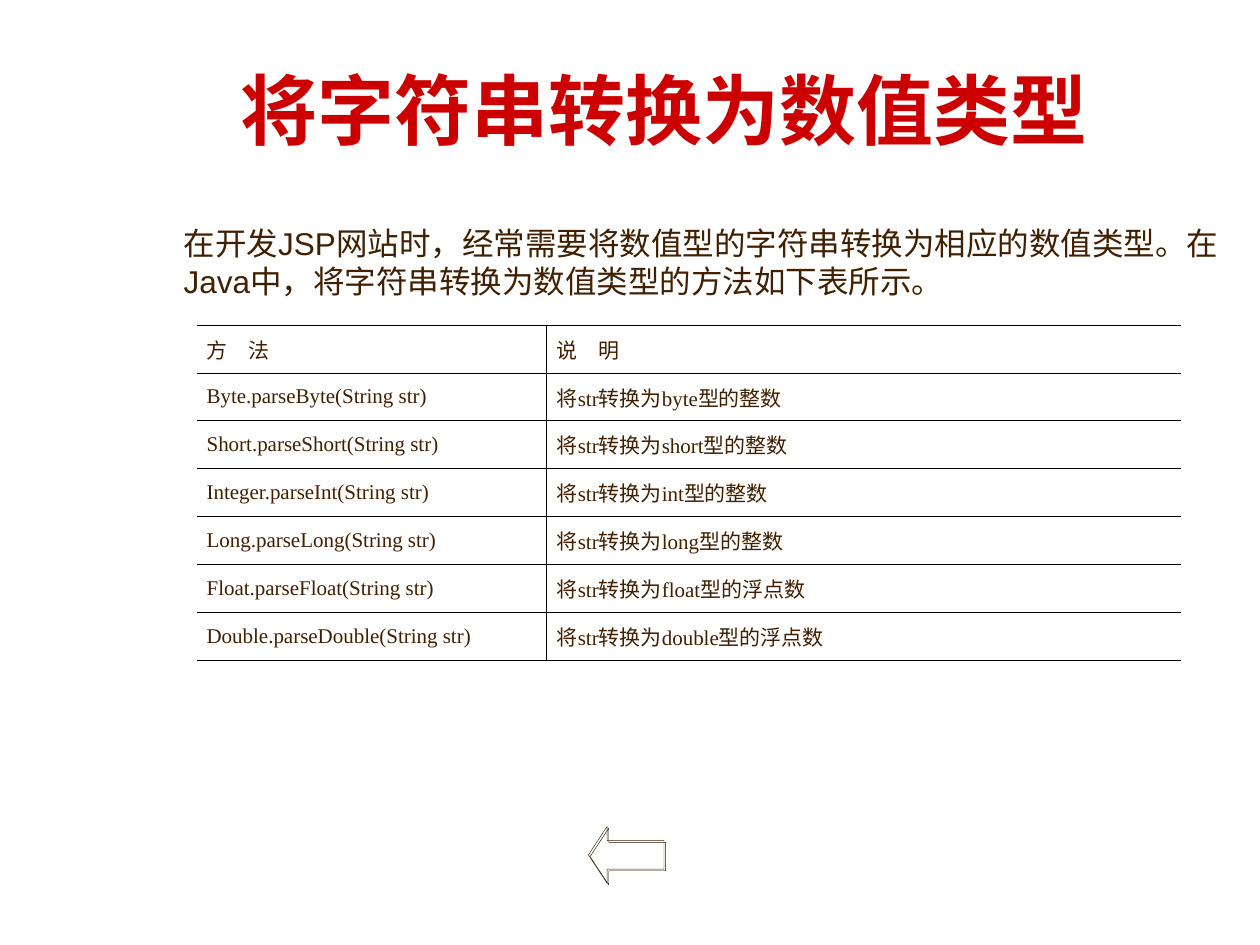
from lxml import etree
from pptx import Presentation
from pptx.dml.color import RGBColor
from pptx.enum.shapes import MSO_SHAPE
from pptx.enum.text import MSO_ANCHOR, PP_ALIGN
from pptx.oxml import parse_xml
from pptx.oxml.ns import nsdecls, qn
from pptx.util import Inches, Pt

LEFT_ARROW = MSO_SHAPE.LEFT_ARROW
TOP, MIDDLE = MSO_ANCHOR.TOP, MSO_ANCHOR.MIDDLE
LEFT, CENTER, JUSTIFY = PP_ALIGN.LEFT, PP_ALIGN.CENTER, PP_ALIGN.JUSTIFY
BROWN = RGBColor(0x40, 0x20, 0x00)
RED = RGBColor(0xCC, 0x00, 0x00)
BORDER_COLOR = RGBColor(0x00, 0x00, 0x00)
SHADOW_COLOR = RGBColor(0x26, 0x13, 0x00)


def write_text(frame, text, size, font="Times New Roman", color=BROWN,
               bold=False, align=LEFT, anchor=TOP, space_after=0):
    frame.word_wrap = True
    frame.vertical_anchor = anchor
    paragraph = frame.paragraphs[0]
    paragraph.alignment = align
    paragraph.space_after = Pt(space_after)
    run = paragraph.add_run()
    run.text = text
    run.font.name = font
    run.font.size = Pt(size)
    run.font.bold = bold
    run.font.color.rgb = color


def set_borders(cell, visible_sides):
    properties = cell._tc.get_or_add_tcPr()
    for side in "LRTB":
        line = etree.SubElement(properties, qn(f"a:ln{side}"), w=str(Pt(0.45)))
        if side in visible_sides:
            fill = etree.SubElement(line, qn("a:solidFill"))
            etree.SubElement(fill, qn("a:srgbClr"), val=str(BORDER_COLOR))
        else:
            etree.SubElement(line, qn("a:noFill"))


presentation = Presentation()
presentation.slide_width = Inches(10)
presentation.slide_height = Inches(7.5)
slide = presentation.slides.add_slide(presentation.slide_layouts[6])

introduction = slide.shapes.add_textbox(Inches(1.36), Inches(1.73), Inches(8.72), Inches(0.7))
write_text(introduction.text_frame,
           "在开发JSP网站时，经常需要将数值型的字符串转换为相应的数值类型。"
           "在Java中，将字符串转换为数值类型的方法如下表所示。",
           size=18, font="Arial")

title = slide.shapes.add_textbox(Inches(1.01), Inches(0.31), Inches(8.52), Inches(1.11))
write_text(title.text_frame, "将字符串转换为数值类型", size=44, color=RED,
           bold=True, align=CENTER, anchor=MIDDLE)

back_arrow = slide.shapes.add_shape(LEFT_ARROW, Inches(4.67), Inches(6.56),
                                    Inches(0.6), Inches(0.45))
back_arrow.adjustments[0] = 0.5
back_arrow.adjustments[1] = 0.33
back_arrow.fill.background()
back_arrow.line.color.rgb = BROWN
back_arrow.line.width = Pt(0.25)
back_arrow.shadow.inherit = False
effects = back_arrow._element.spPr.find(qn("a:effectLst"))
effects.append(parse_xml(
    f'<a:outerShdw {nsdecls("a")} blurRad="0" dist="{Pt(1.4)}" dir="2700000" algn="ctr" '
    f'rotWithShape="0"><a:srgbClr val="{SHADOW_COLOR}"/></a:outerShdw>'))

methods = [
    ("Byte", "parseByte", "byte", "整数"),
    ("Short", "parseShort", "short", "整数"),
    ("Integer", "parseInt", "int", "整数"),
    ("Long", "parseLong", "long", "整数"),
    ("Float", "parseFloat", "float", "浮点数"),
    ("Double", "parseDouble", "double", "浮点数"),
]
rows = [("方　法", "说　明")]
for class_name, method, type_name, number_kind in methods:
    rows.append((f"{class_name}.{method}(String str)",
                 f"将str转换为{type_name}型的{number_kind}"))

table = slide.shapes.add_table(len(rows), 2, Inches(1.56), Inches(2.58),
                               Inches(7.81), Inches(2.66)).table
table.first_row = False
table.horz_banding = False
table.columns[0].width = Inches(2.78)
table.columns[1].width = Inches(5.03)
for row_index, row in enumerate(rows):
    table.rows[row_index].height = Inches(0.38)
    for column_index, text in enumerate(row):
        cell = table.cell(row_index, column_index)
        set_borders(cell, ("RTB", "LTB")[column_index])
        cell.fill.background()
        cell.margin_left = cell.margin_right = Inches(0.08)
        cell.margin_top = cell.margin_bottom = Inches(0.05)
        write_text(cell.text_frame, text, size=12, align=JUSTIFY, space_after=1.2)
        cell.vertical_anchor = MIDDLE

presentation.save("out.pptx")
